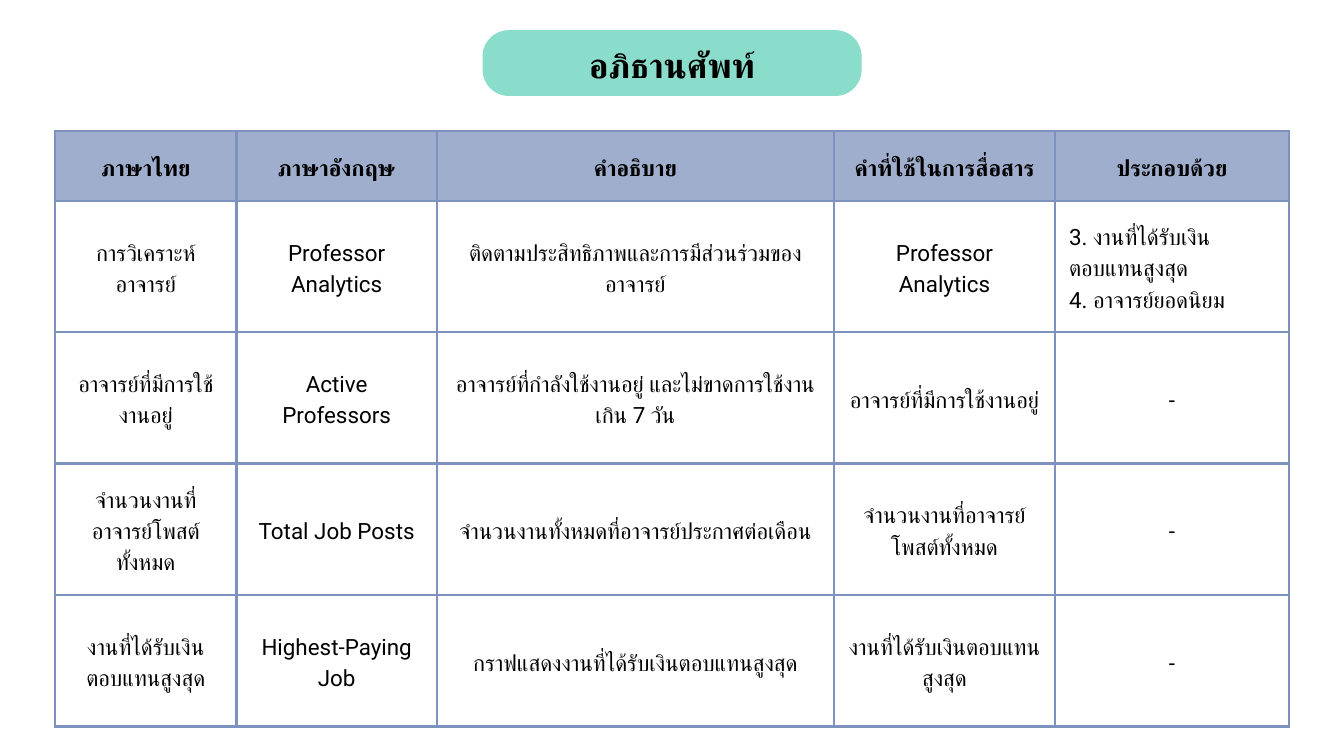
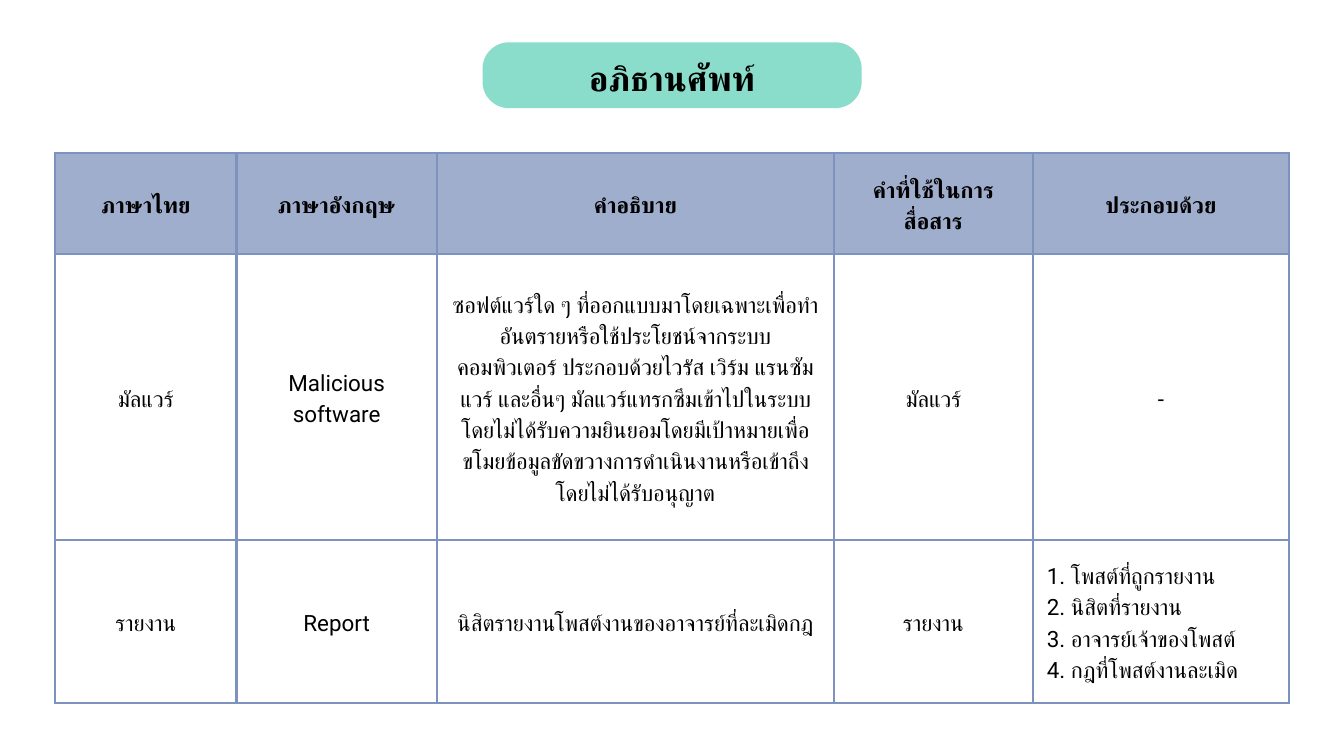
"""Build two glossary slides, each a title pill above a bordered table."""
from lxml import etree
from pptx import Presentation
from pptx import util as u
from pptx.dml.color import RGBColor
from pptx.enum import shapes, text
from pptx.oxml import ns

FONT = "Roboto"
BLACK, MINT, HEADER, BORDER = "000000", "8ADDCA", "A0AECD", "7E92C0"
TITLE = "อภิธานศัพท์"
HEADINGS = ["ภาษาไทย", "ภาษาอังกฤษ", "คำอธิบาย", "คำที่ใช้ในการสื่อสาร", "ประกอบด้วย"]
TABLE_LEFT = 2.08
INSET = u.Cm(0.53)

GLOSSARIES = [
    {
        "pill_top": 1.14,
        "table_top": 4.95,
        "widths": [6.86, 7.57, 15.01, 8.36, 8.84],
        "heights": [2.64] + [4.97] * 4,
        "rows": [
            ["การวิเคราะห์อาจารย์", "Professor Analytics",
             "ติดตามประสิทธิภาพและการมีส่วนร่วมของอาจารย์", "Professor Analytics",
             "3. งานที่ได้รับเงินตอบแทนสูงสุด\n4. อาจารย์ยอดนิยม"],
            ["อาจารย์ที่มีการใช้งานอยู่", "Active Professors",
             "อาจารย์ที่กำลังใช้งานอยู่ และไม่ขาดการใช้งานเกิน 7 วัน",
             "อาจารย์ที่มีการใช้งานอยู่", "-"],
            ["จำนวนงานที่อาจารย์โพสต์ทั้งหมด", "Total Job Posts",
             "จำนวนงานทั้งหมดที่อาจารย์ประกาศต่อเดือน",
             "จำนวนงานที่อาจารย์โพสต์ทั้งหมด", "-"],
            ["งานที่ได้รับเงินตอบแทนสูงสุด", "Highest-Paying Job",
             "กราฟแสดงงานที่ได้รับเงินตอบแทนสูงสุด",
             "งานที่ได้รับเงินตอบแทนสูงสุด", "-"],
        ],
    },
    {
        "pill_top": 1.6,
        "table_top": 5.79,
        "widths": [6.86, 7.57, 15.01, 7.52, 9.68],
        "heights": [3.81, 10.82, 6.15],
        "rows": [
            ["มัลแวร์", "Malicious software",
             "ซอฟต์แวร์ใด ๆ ที่ออกแบบมาโดยเฉพาะเพื่อทําอันตรายหรือใช้ประโยชน์จากระบบ"
             "คอมพิวเตอร์ ประกอบด้วยไวรัส เวิร์ม แรนซัมแวร์ และอื่นๆ "
             "มัลแวร์แทรกซึมเข้าไปในระบบโดยไม่ได้รับความยินยอมโดยมีเป้าหมายเพื่อ"
             "ขโมยข้อมูลขัดขวางการดําเนินงานหรือเข้าถึงโดยไม่ได้รับอนุญาต",
             "มัลแวร์", "-"],
            ["รายงาน", "Report", "นิสิตรายงานโพสต์งานของอาจารย์ที่ละเมิดกฎ", "รายงาน",
             "1. โพสต์ที่ถูกรายงาน\n2. นิสิตที่รายงาน\n"
             "3. อาจารย์เจ้าของโพสต์\n4. กฎที่โพสต์งานละเมิด"],
        ],
    },
]


def color(value):
    return RGBColor.from_string(value)


def style(frame, size, spacing, bold, align):
    for para in frame.paragraphs:
        para.alignment = align
        para.line_spacing = u.Pt(spacing)
        para.space_before = u.Pt(0)
        para.font.name = FONT
        para.font.size = u.Pt(size)
        para.font.bold = bold
        para.font.color.rgb = color(BLACK)
        props = para._p.pPr.find(ns.qn("a:defRPr"))
        etree.SubElement(props, ns.qn("a:cs"), typeface=FONT)


deck = Presentation()
deck.slide_width, deck.slide_height = u.Cm(50.8), u.Cm(28.58)

for glossary in GLOSSARIES:
    page = deck.slides.add_slide(deck.slide_layouts[5])

    pill = page.shapes.add_shape(
        shapes.MSO_SHAPE.ROUNDED_RECTANGLE,
        u.Cm(18.24), u.Cm(glossary["pill_top"]), u.Cm(14.33), u.Cm(2.49))
    pill.adjustments[0] = 0.4
    pill.shadow.inherit = False
    pill.fill.solid()
    pill.fill.fore_color.rgb = color(MINT)
    pill.line.fill.background()

    title = page.shapes.title
    title.element.addprevious(pill.element)
    title.left, title.top = u.Cm(21.59), u.Cm(glossary["pill_top"] + 0.28)
    title.width, title.height = u.Cm(7.62), u.Cm(1.75)
    frame = title.text_frame
    frame.text = TITLE
    frame.word_wrap = True
    frame.auto_size = text.MSO_AUTO_SIZE.SHAPE_TO_FIT_TEXT
    frame.vertical_anchor = text.MSO_ANCHOR.TOP
    frame.margin_left = frame.margin_right = frame.margin_top = frame.margin_bottom = 0
    style(frame, 37, 51.7, True, text.PP_ALIGN.CENTER)

    widths, heights = glossary["widths"], glossary["heights"]
    table = page.shapes.add_table(
        len(heights), len(widths), u.Cm(TABLE_LEFT), u.Cm(glossary["table_top"]),
        u.Cm(sum(widths)), u.Cm(sum(heights))).table
    table.first_row = table.horz_banding = False
    for column, width in zip(table.columns, widths):
        column.width = u.Cm(width)

    for row, height, words in zip(table.rows, heights, [HEADINGS] + glossary["rows"]):
        row.height = u.Cm(height)
        is_header = words is HEADINGS
        for cell, wording in zip(row.cells, words):
            cell.text = wording
            cell.vertical_anchor = text.MSO_ANCHOR.MIDDLE
            cell.margin_left = cell.margin_right = INSET
            cell.margin_top = cell.margin_bottom = INSET
            is_list = "\n" in wording
            align = text.PP_ALIGN.LEFT if is_list else text.PP_ALIGN.CENTER
            style(cell.text_frame, 24, 33.6, is_header, align)
            for side in ("lnL", "lnR", "lnT", "lnB"):
                line = etree.SubElement(
                    cell._tc.get_or_add_tcPr(), ns.qn(f"a:{side}"), w=str(u.Pt(3)))
                fill = etree.SubElement(line, ns.qn("a:solidFill"))
                etree.SubElement(fill, ns.qn("a:srgbClr"), val=BORDER)
            if is_header:
                cell.fill.solid()
                cell.fill.fore_color.rgb = color(HEADER)
            else:
                cell.fill.background()

deck.save("out.pptx")
